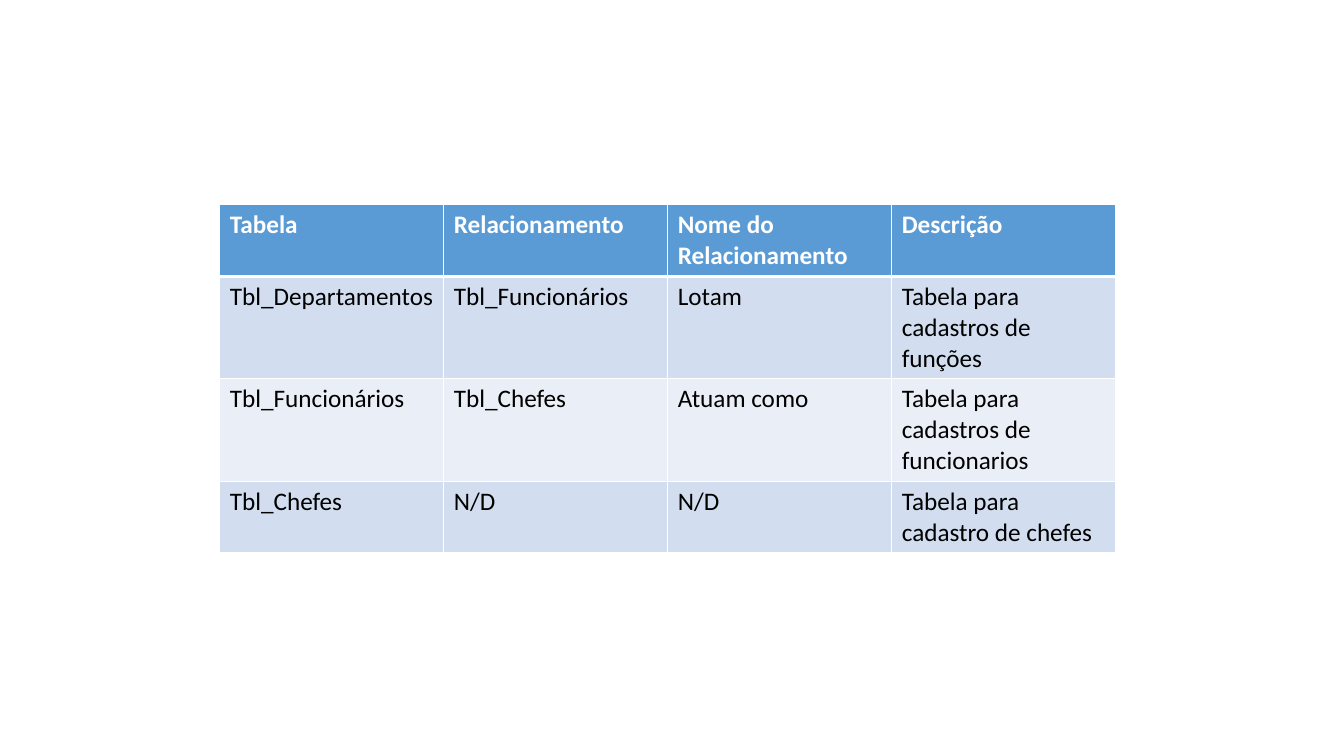
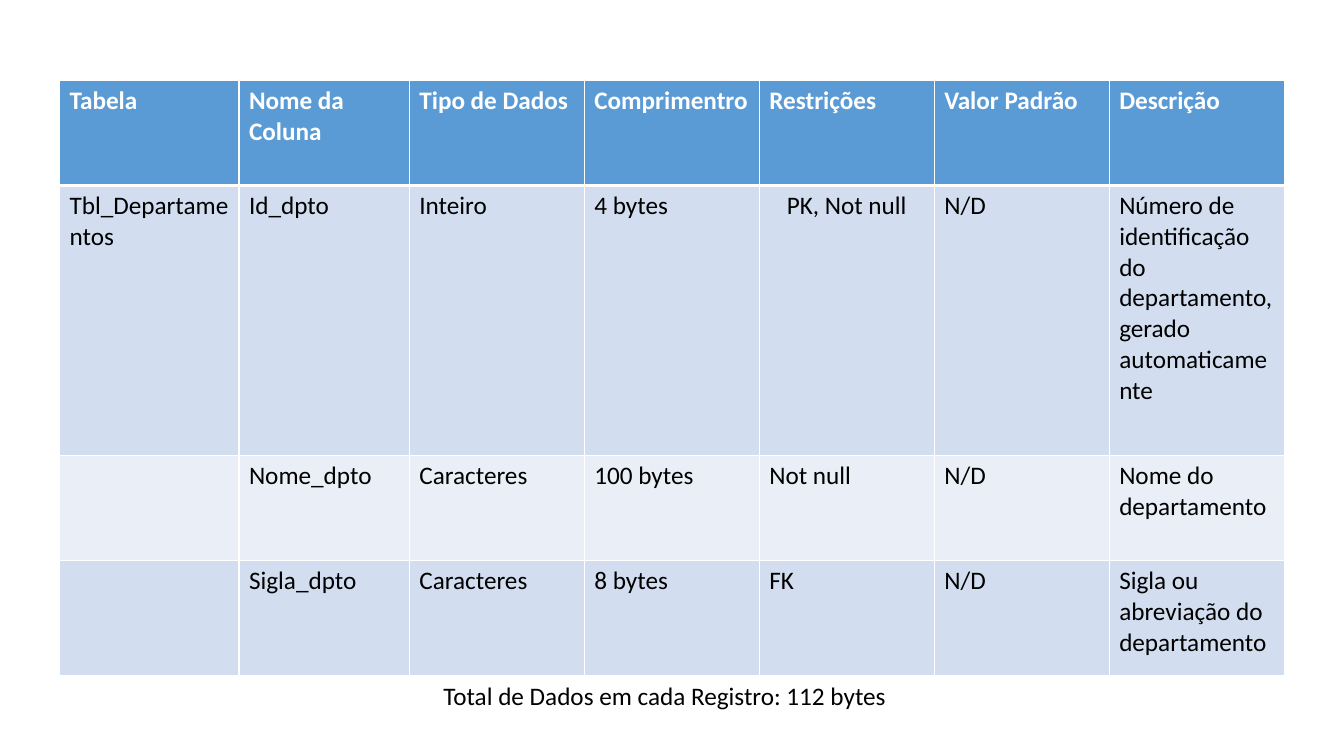
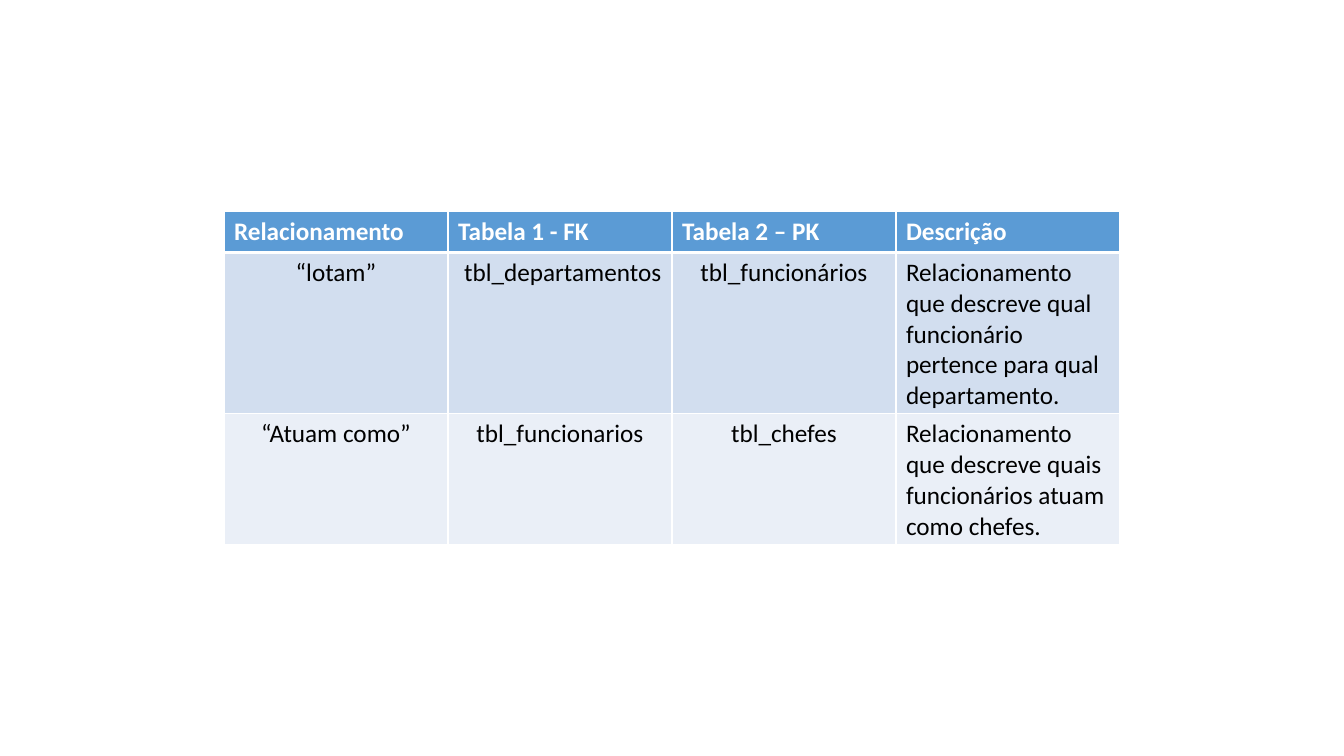
import pptx
import pptx.dml.color
import pptx.enum.text
import pptx.oxml
import pptx.oxml.ns
import pptx.util
import lxml.etree

Pt = pptx.util.Pt
COLORS = {
    "header": "5B9BD5",
    "odd_band": "D2DEEF",
    "even_band": "EAEFF7",
    "white": "FFFFFF",
    "black": "000000",
}


def rgb(name):
    return pptx.dml.color.RGBColor.from_string(COLORS[name])


class Deck:
    font_name = "Calibri"
    font_size = Pt(18)
    thin_rule = Pt(1)
    header_rule = Pt(3)

    def __init__(self):
        self.presentation = pptx.Presentation()
        self.presentation.slide_width = Pt(960)
        self.presentation.slide_height = Pt(540)
        self.slide = None

    def add_slide(self):
        blank_layout = self.presentation.slide_layouts[6]
        self.slide = self.presentation.slides.add_slide(blank_layout)

    def format_text(self, paragraph, color, bold=False, centered=False):
        if centered:
            paragraph.alignment = pptx.enum.text.PP_ALIGN.CENTER
        for run in paragraph.runs:
            run.font.name = self.font_name
            run.font.size = self.font_size
            run.font.bold = bold
            run.font.color.rgb = rgb(color)

    def add_borders(self, cell, row):
        top = self.header_rule if row == 1 else self.thin_rule
        bottom = self.header_rule if row == 0 else self.thin_rule
        properties = cell._tc.get_or_add_tcPr()
        sides = {"L": self.thin_rule, "R": self.thin_rule, "T": top, "B": bottom}
        for side, width in sides.items():
            line = lxml.etree.SubElement(
                properties, pptx.oxml.ns.qn("a:ln" + side), w=str(int(width)))
            fill = lxml.etree.SubElement(line, pptx.oxml.ns.qn("a:solidFill"))
            lxml.etree.SubElement(
                fill, pptx.oxml.ns.qn("a:srgbClr"), val=COLORS["white"])

    def add_cell(self, cell, text, row, centered):
        if row == 0:
            band = "header"
        else:
            band = "odd_band" if row % 2 else "even_band"
        self.add_borders(cell, row)
        cell.fill.solid()
        cell.fill.fore_color.rgb = rgb(band)
        cell.text_frame.text = text
        self.format_text(cell.text_frame.paragraphs[0],
                         "black" if row else "white", row == 0, centered)

    def add_table(self, left, top, height, widths, heights, content, centered=()):
        frame = self.slide.shapes.add_table(
            len(content), len(widths), Pt(left), Pt(top), Pt(sum(widths)), Pt(height))
        table = frame.table
        for column, width in zip(table.columns, widths):
            column.width = Pt(width)
        for table_row, row_height in zip(table.rows, heights):
            table_row.height = Pt(row_height)
        frame.height = Pt(height)
        for row, texts in enumerate(content):
            for column, text in enumerate(texts):
                self.add_cell(table.cell(row, column), text, row,
                              (row, column) in centered)

    def add_text(self, left, top, width, height, text):
        box = self.slide.shapes.add_textbox(Pt(left), Pt(top), Pt(width), Pt(height))
        box.text_frame.word_wrap = True
        box.text_frame.auto_size = pptx.enum.text.MSO_AUTO_SIZE.SHAPE_TO_FIT_TEXT
        box.text_frame.text = text
        self.format_text(box.text_frame.paragraphs[0], "black")


deck = Deck()

deck.add_slide()
deck.add_table(157, 146.3, 244.8, [160] * 4, [29.2] * 4, [
    ["Tabela", "Relacionamento", "Nome do Relacionamento", "Descrição"],
    ["Tbl_Departamentos", "Tbl_Funcionários", "Lotam",
     "Tabela para cadastros de funções"],
    ["Tbl_Funcionários", "Tbl_Chefes", "Atuam como",
     "Tabela para cadastros de funcionarios"],
    ["Tbl_Chefes", "N/D", "N/D", "Tabela para cadastro de chefes"],
])

deck.add_slide()
deck.add_table(42.5, 57.6, 424.8, [128.2, 121.7] + [125] * 5, [74.9, 193, 74.9, 82], [
    ["Tabela", "Nome da Coluna", "Tipo de Dados", "Comprimentro", "Restrições",
     "Valor Padrão", "Descrição"],
    ["Tbl_Departamentos", "Id_dpto", "Inteiro", "4 bytes", "PK, Not null", "N/D",
     "Número de identificação do departamento, gerado automaticamente"],
    ["", "Nome_dpto", "Caracteres", "100 bytes", "Not null", "N/D",
     "Nome do departamento"],
    ["", "Sigla_dpto", "Caracteres", "8 bytes", "FK", "N/D",
     "Sigla ou abreviação do departamento"],
], centered={(1, 4)})
deck.add_text(309.6, 482.4, 341.3, 29, "Total de Dados em cada Registro: 112 bytes")

deck.add_slide()
deck.add_table(160, 151.2, 238.3, [160] * 4, [29.2] * 3, [
    ["Relacionamento", "Tabela 1 - FK", "Tabela 2 – PK", "Descrição"],
    ["“lotam”", " tbl_departamentos", "tbl_funcionários",
     "Relacionamento que descreve qual funcionário pertence para qual departamento."],
    ["“Atuam como”", "tbl_funcionarios", "tbl_chefes",
     "Relacionamento que descreve quais funcionários atuam como chefes."],
], centered={(row, column) for row in (1, 2) for column in range(3)})

deck.presentation.save("out.pptx")
